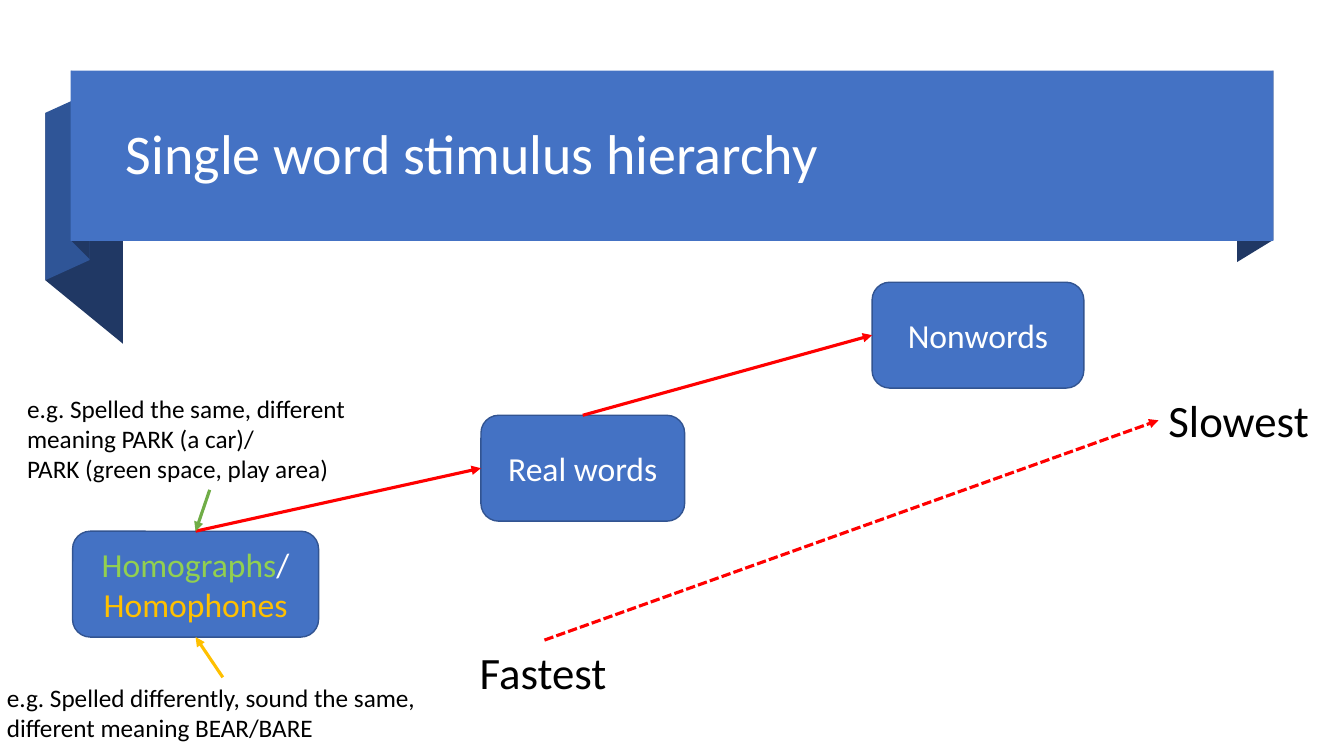
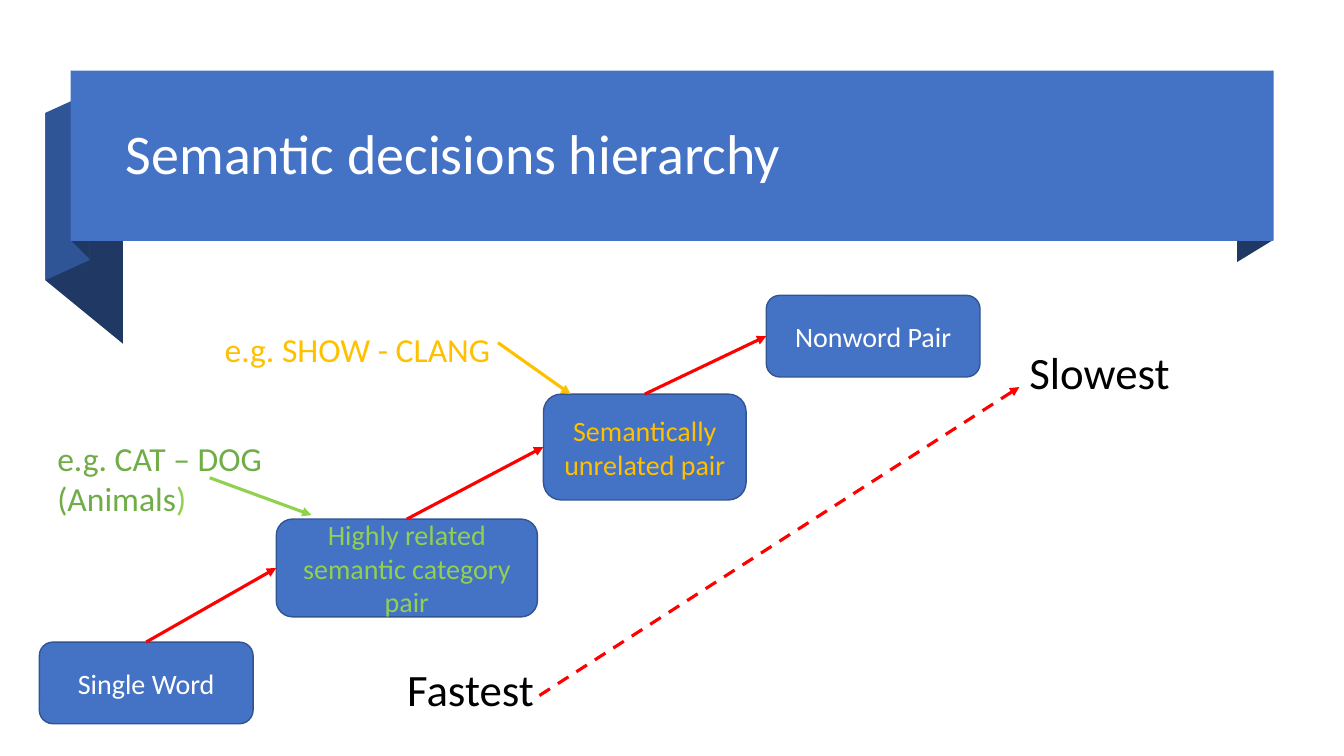
from lxml.etree import SubElement
from pptx import Presentation
from pptx.dml.color import RGBColor
from pptx.enum.dml import MSO_LINE as Dash
from pptx.enum.shapes import MSO_CONNECTOR as Conn, MSO_SHAPE as Shape
from pptx.enum.text import MSO_ANCHOR as Anchor, PP_ALIGN as Align
from pptx.oxml.ns import qn
from pptx.util import Inches, Pt

# Theme: colours, type sizes and line widths
hues = dict(band="4472C4", fold="2F5597", dark="203864", edge="325491",
            white="FFFFFF", black="000000", red="FF0000",
            green="70AD47", lime="92D050", gold="FFC000")
theme = {
    "hue": {name: RGBColor.from_string(code) for name, code in hues.items()},
    "font": "Calibri",
    "size": dict(title=Pt(40), scale=Pt(32), large=Pt(24), mid=Pt(20), note=Pt(18)),
    "edge": Pt(1),
    "arrow": Pt(2.25),
}
hue, size = theme["hue"], theme["size"]

# Ribbon folds: colour and outline, from back to front
folds = [
    ("dark", [(12.63, 2.38), (12.27, 2.6), (12.27, 0.91), (12.63, 0.7)]),
    ("dark", [(1.22, 3.41), (0.45, 2.78), (0.45, 1.12), (1.22, 1.75)]),
    ("fold", [(0.89, 2.58), (0.45, 2.78), (0.45, 1.12), (0.89, 0.92)]),
    ("dark", [(0.89, 2.57), (0.71, 2.39), (0.71, 0.7), (0.89, 0.89)]),
]

# Slide content: text is a list of paragraphs, each a list of (words, colour).
# Steps climb from first to last and are joined by red arrows.
pages = [
    {
        "title": "Single word stimulus hierarchy",
        "size": "large",
        "steps": [
            ((0.72, 5.27, 2.44, 1.05), [[("Homographs", "lime"), ("/", "white")],
                                        [("Homophones", "gold")]]),
            ((4.77, 4.12, 2.02, 1.05), [[("Real words", "white")]]),
            ((8.65, 2.8, 2.1, 1.05), [[("Nonwords", "white")]]),
        ],
        "labels": [
            ((4.66, 6.35, 1.47, 0.64), "scale", False, [[("Fastest", "black")]]),
            ((11.49, 3.85, 1.61, 0.64), "scale", False, [[("Slowest", "black")]]),
            ((-0.03, 6.72, 4.48, 0.71), "note", True,
             [[("e.g. Spelled differently, sound the same,", "black")],
              [("different meaning BEAR/BARE", "black")]]),
            ((0.17, 3.85, 3.82, 1.01), "note", True,
             [[("e.g. Spelled the same, different meaning PARK (a car)/", "black")],
              [("PARK (green space, play area)", "black")]]),
        ],
        "arrows": [
            ((5.4, 6.35, 11.49, 4.17), "red", Dash.SQUARE_DOT),
            ((2.08, 4.86, 1.94, 5.27), "green", None),
            ((2.21, 6.72, 1.94, 6.32), "gold", None),
        ],
    },
    {
        "title": "Semantic decisions hierarchy",
        "size": "mid",
        "steps": [
            ((0.39, 6.37, 2.12, 0.81), [[("Single Word", "white")]]),
            ((2.74, 5.15, 2.59, 0.97), [[("Highly related semantic category pair", "lime")]]),
            ((5.39, 3.91, 2.01, 1.05), [[("Semantically unrelated pair", "gold")]]),
            ((7.6, 2.93, 2.12, 0.81), [[("Nonword Pair", "white")]]),
        ],
        "labels": [
            ((3.94, 6.52, 1.47, 0.64), "scale", False, [[("Fastest", "black")]]),
            ((10.11, 3.37, 1.61, 0.64), "scale", False, [[("Slowest", "black")]]),
            ((0.47, 4.29, 2.27, 0.91), "large", True,
             [[("e.g. CAT – DOG", "green")], [("(Animals", "green"), (")", "lime")]]),
            ((2.13, 3.21, 3.19, 0.5), "large", True, [[("e.g. SHOW - CLANG", "gold")]]),
        ],
        "arrows": [
            ((5.35, 6.9, 10.11, 3.84), "red", Dash.DASH),
            ((2.08, 4.74, 3.09, 5.11), "lime", None),
            ((4.94, 3.4, 5.66, 3.91), "gold", None),
        ],
    },
]


def write(shape, text, kind, **form):
    """Fill a shape with coloured runs; form holds paragraph attributes."""
    frame = shape.text_frame
    for n, runs in enumerate(text):
        para = frame.add_paragraph() if n else frame.paragraphs[0]
        for key, value in form.items():
            setattr(para, key, value)
        for words, tone in runs:
            run = para.add_run()
            run.text = words
            for key, value in {"name": theme["font"], "size": size[kind]}.items():
                setattr(run.font, key, value)
            run.font.color.rgb = hue[tone]


def link(slide, ends, tone, dash=None):
    """Draw a straight arrow between two points."""
    arrow = slide.shapes.add_connector(Conn.STRAIGHT, *map(Inches, ends))
    arrow.line.color.rgb = hue[tone]
    for key, value in {"width": theme["arrow"], "dash_style": dash}.items():
        setattr(arrow.line, key, value)
    SubElement(arrow.line._get_or_add_ln(), qn("a:tailEnd"), type="triangle")
    SubElement(arrow._element.spPr, qn("a:effectLst"))
    return arrow


deck = Presentation()
deck.slide_width, deck.slide_height = Inches(13.33), Inches(7.5)

for page in pages:
    slide = deck.slides.add_slide(deck.slide_layouts[6])
    shapes = slide.shapes

    # Ribbon
    parts = []
    for tone, points in folds:
        spots = [(Inches(x), Inches(y)) for x, y in points]
        pen = shapes.build_freeform(*spots[0])
        pen.add_line_segments(spots[1:])
        parts.append((pen.convert_to_shape(), tone))
    band = shapes.add_shape(Shape.RECTANGLE, *map(Inches, (0.7, 0.7, 11.93, 1.69)))
    for part, tone in parts + [(band, "band")]:
        part.shadow.inherit = False
        part.fill.solid()
        part.fill.fore_color.rgb = hue[tone]
        part.line.fill.background()

    # Title
    head = shapes.add_textbox(*map(Inches, (1.15, 0.83, 11.27, 1.45)))
    for key, value in {"word_wrap": True, "vertical_anchor": Anchor.MIDDLE}.items():
        setattr(head.text_frame, key, value)
    write(head, [[(page["title"], "white")]], "title", line_spacing=0.9)

    # Steps, each joined from its top to the left side of the next
    last = None
    for place, text in page["steps"]:
        box = shapes.add_shape(Shape.ROUNDED_RECTANGLE, *map(Inches, place))
        box.shadow.inherit = False
        box.fill.solid()
        box.fill.fore_color.rgb = hue["band"]
        box.line.color.rgb = hue["edge"]
        box.line.width = theme["edge"]
        write(box, text, page["size"], alignment=Align.CENTER)
        if last:
            arrow = link(slide, (0, 0, 0, 0), "red")
            arrow.begin_connect(last, 0)
            arrow.end_connect(box, 1)
        last = box

    # Labels and examples
    for place, kind, wrap, text in page["labels"]:
        label = shapes.add_textbox(*map(Inches, place))
        label.text_frame.word_wrap = wrap
        write(label, text, kind)

    # Speed scale and pointers
    for ends, tone, dash in page["arrows"]:
        link(slide, ends, tone, dash)

deck.save("out.pptx")
